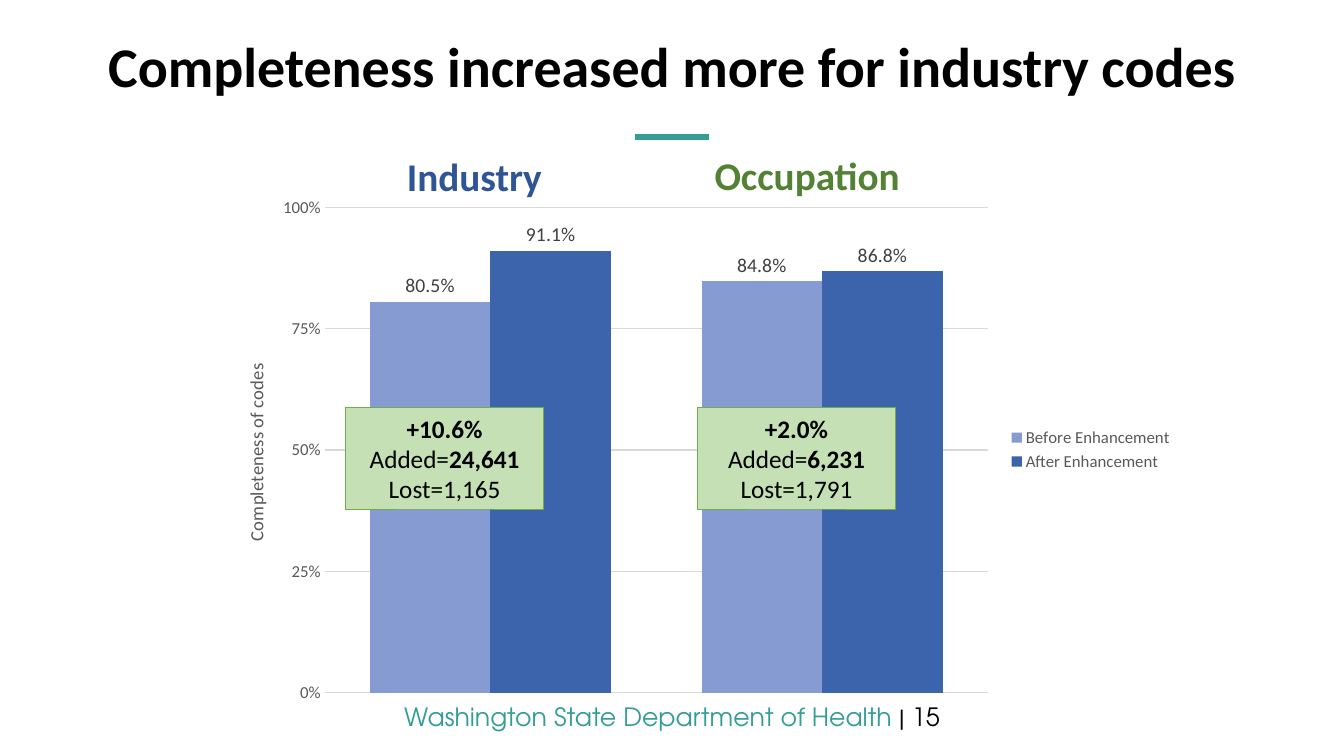
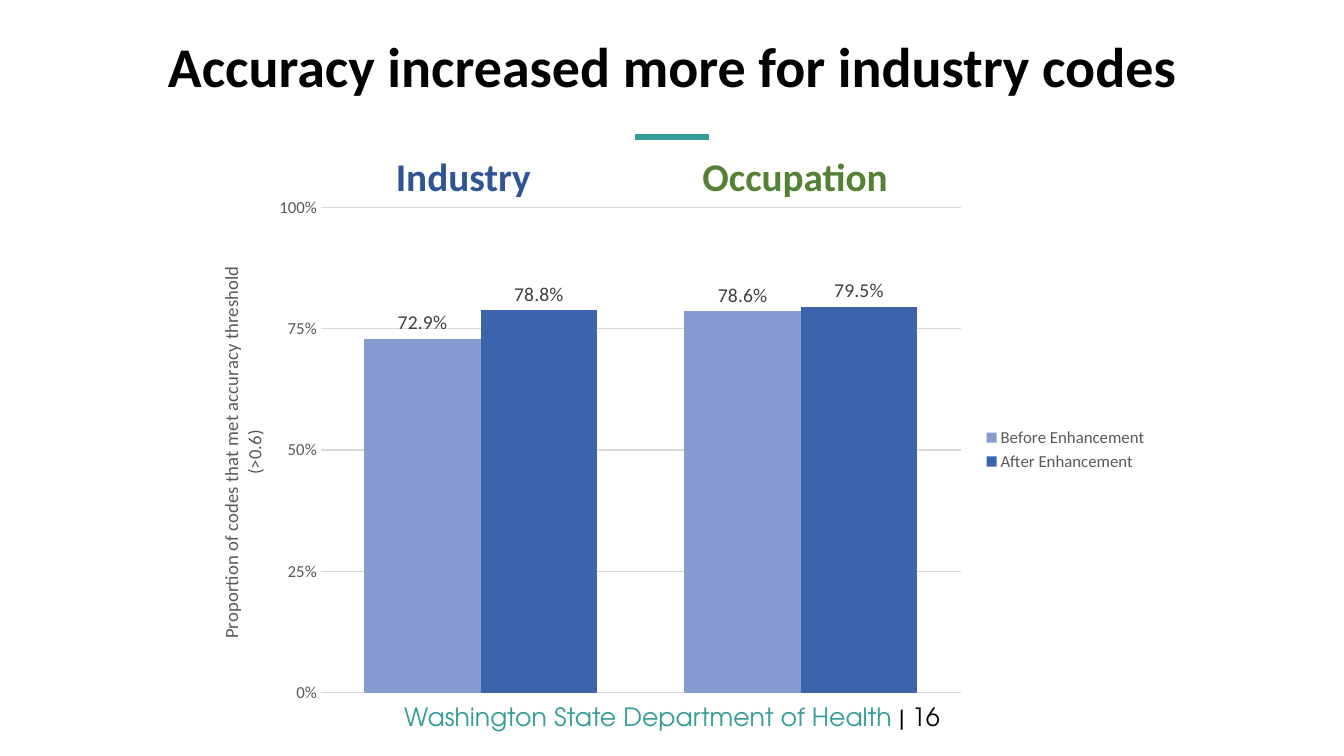
from pptx import Presentation
from pptx.chart.data import CategoryChartData
from pptx.dml.color import RGBColor
from pptx.enum.chart import XL_CHART_TYPE, XL_LABEL_POSITION, XL_LEGEND_POSITION, XL_TICK_MARK
from pptx.enum.shapes import MSO_CONNECTOR, MSO_SHAPE
from pptx.enum.text import MSO_ANCHOR, PP_ALIGN
from pptx.oxml import parse_xml
from pptx.oxml.ns import nsdecls, qn
from pptx.util import Inches, Pt

HEX = {"teal": "349D96", "black": "000000", "gray": "595959", "dark": "404040",
       "grid": "D9D9D9", "before": "859BD1", "after": "3B64AD", "blue": "2F5597",
       "green": "548235", "mint": "C5E0B4", "edge": "70AD47"}
RGB = {name: RGBColor.from_string(code) for name, code in HEX.items()}

SLIDES = [
    {"title": "Completeness increased more for industry codes",
     "axis": "Completeness of codes", "left": 2.09, "plot": (0.117, 0.682), "top": 0.33,
     "before": (0.805, 0.848), "after": (0.911, 0.868),
     "heads": ((2.99, 1.46), (6.56, 1.45)),
     "notes": (("+10.6%", "24,641", "1,165"), ("+2.0%", "6,231", "1,791"))},
    {"title": "Accuracy increased more for industry codes",
     "axis": "Proportion of codes that met accuracy threshold (>0.6)",
     "left": 1.84, "plot": (0.139, 0.658), "top": 0.145,
     "before": (0.729, 0.786), "after": (0.788, 0.795),
     "heads": ((2.88, 1.46), (6.44, 1.46)), "notes": ()},
]


def write(shape, lines, size, face="Calibri"):
    """Fill a shape with centred lines, each a list of (text, colour, bold)."""
    frame = shape.text_frame
    frame.word_wrap = True
    for i, line in enumerate(lines):
        para = frame.paragraphs[0] if i == 0 else frame.add_paragraph()
        para.alignment = PP_ALIGN.CENTER
        para.font.size, para.font.name = Pt(size), face
        for text, color, bold in line:
            run = para.add_run()
            run.text = text
            run.font.bold = bold
            run.font.color.rgb = RGB[color]
    return frame


def place(part, index, **spots):
    """Give a chart part a fixed layout, in fractions of the chart."""
    old = part.find(qn("c:layout"))
    if old is not None:
        part.remove(old)
    modes = '<c:xMode val="edge"/><c:yMode val="edge"/>'
    sizes = "".join(f'<c:{key} val="{val}"/>' for key, val in spots.items())
    inner = '<c:layoutTarget val="inner"/>' if "w" in spots else ""
    part.insert(index, parse_xml(
        f'<c:layout {nsdecls("c")}><c:manualLayout>{inner}{modes}{sizes}'
        '</c:manualLayout></c:layout>'))


deck = Presentation()
deck.slide_width, deck.slide_height = Inches(13.33), Inches(7.5)

for number, data in enumerate(SLIDES, 15):
    shapes = deck.slides.add_slide(deck.slide_layouts[6]).shapes

    # Accent line, footer and title
    rule = shapes.add_connector(MSO_CONNECTOR.STRAIGHT, Inches(6.3), Inches(1.36),
                                Inches(7.03), Inches(1.36))
    rule.line.color.rgb, rule.line.width = RGB["teal"], Pt(4)
    rule._element.spPr.append(parse_xml(f'<a:effectLst {nsdecls("a")}/>'))
    foot = shapes.add_textbox(0, Inches(6.91), Inches(13.33), Inches(0.4))
    write(foot, [[("Washington State Department of Health ", "teal", False),
                  (f"| {number}", "black", False)]], 18, "TeX Gyre Adventor")
    title = shapes.add_textbox(Inches(0.47), Inches(0.42), Inches(12.39), Inches(0.53))
    frame = write(title, [[(data["title"], "black", True)]], 40)
    frame.vertical_anchor = MSO_ANCHOR.MIDDLE
    frame.paragraphs[0].line_spacing = 0.9

    # Column chart
    table = CategoryChartData(number_format="0.0%")
    table.categories = ["1", "2"]
    table.add_series("Before Enhancement", data["before"])
    table.add_series("After Enhancement", data["after"])
    chart = shapes.add_chart(XL_CHART_TYPE.COLUMN_CLUSTERED, Inches(data["left"]),
                             Inches(1.85), Inches(9.65), Inches(5.22), table).chart
    chart.has_title = False
    chart.font.name, chart.font.size = "Calibri", Pt(12)
    chart.font.color.rgb = RGB["gray"]
    chart.has_legend = True
    chart.legend.position = XL_LEGEND_POSITION.RIGHT
    chart.legend.include_in_layout = False
    chart.category_axis.visible = False
    left, width = data["plot"]
    place(chart._chartSpace.chart.plotArea, 0, x=left, y=0.04, w=width, h=0.922)

    # Columns and their labels
    plot = chart.plots[0]
    plot.gap_width, plot.overlap, plot.vary_by_categories = 75, 0, False
    for series, color in zip(plot.series, ("before", "after")):
        series.format.fill.solid()
        series.format.fill.fore_color.rgb = RGB[color]
        labels = series.data_labels
        labels.show_value = True
        labels.position = XL_LABEL_POSITION.OUTSIDE_END
        labels.number_format, labels.number_format_is_linked = "0.0%", False
        labels.font.size, labels.font.name = Pt(14), "Calibri"
        labels.font.color.rgb = RGB["dark"]

    # Value axis
    axis = chart.value_axis
    axis.minimum_scale, axis.maximum_scale, axis.major_unit = 0, 1, 0.25
    axis.major_tick_mark = axis.minor_tick_mark = XL_TICK_MARK.NONE
    axis.tick_labels.number_format = "0%"
    axis.tick_labels.number_format_is_linked = False
    axis.format.line.fill.background()
    grid = axis.major_gridlines.format.line
    grid.color.rgb, grid.width = RGB["grid"], Pt(0.75)
    frame = axis.axis_title.text_frame
    frame.text = data["axis"]
    frame._txBody.bodyPr.set("rot", "-5400000")
    frame._txBody.bodyPr.set("vert", "horz")
    font = frame.paragraphs[0].font
    font.size, font.name, font.bold = Pt(13.3), "Calibri", False
    font.color.rgb = RGB["gray"]
    place(axis.axis_title._element, 1, x=0.03, y=data["top"])

    # Change notes over the columns
    for i, (change, added, lost) in enumerate(data["notes"]):
        note = shapes.add_shape(MSO_SHAPE.RECTANGLE, Inches(3.43 + 3.49 * i),
                                Inches(4.04), Inches(1.96), Inches(1.01))
        note.shadow.inherit = False
        note.fill.solid()
        note.fill.fore_color.rgb = RGB["mint"]
        note.line.color.rgb, note.line.width = RGB["edge"], Pt(0.5)
        write(note, [[(change, "black", True)],
                     [("Added=", "black", False), (added, "black", True)],
                     [(f"Lost={lost}", "black", False)]], 18)

    # Group headings
    groups = (("Industry", "blue", 3.43), ("Occupation", "green", 2.89))
    for (name, color, width), (x, y) in zip(groups, data["heads"]):
        head = shapes.add_textbox(Inches(x), Inches(y), Inches(width), Inches(0.57))
        write(head, [[(name, color, True)]], 28)

deck.save("out.pptx")
